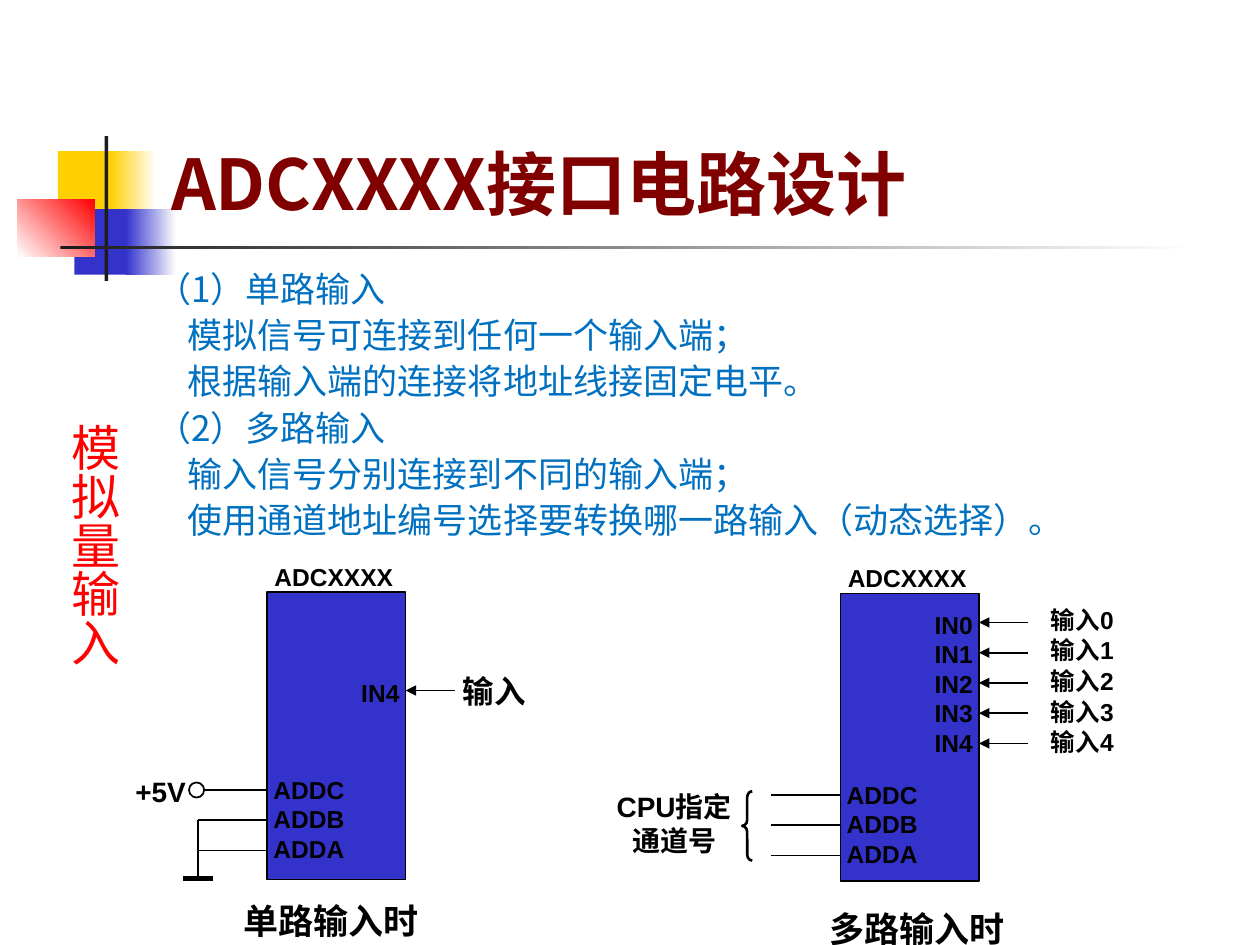
from lxml.etree import SubElement
from pptx import Presentation
from pptx.dml.color import RGBColor
from pptx.enum.shapes import MSO_CONNECTOR, MSO_SHAPE
from pptx.enum.text import MSO_ANCHOR, PP_ALIGN
from pptx.oxml.ns import qn
from pptx.util import Inches, Pt

CJK = "Noto Sans CJK SC"
BLACK, WHITE, BLUE, YELLOW, DARK = "000000", "FFFFFF", "3333CC", "FFCF01", "1C1C1C"
LEFT, CENTER, RIGHT = PP_ALIGN.LEFT, PP_ALIGN.CENTER, PP_ALIGN.RIGHT
PIN_STEP = 0.24
CHIP = "ADCXXXX"


def rgb(color):
    return RGBColor.from_string(color)


def add_text(shapes, lines, x, y, w, h, size=14, font="Arial", color=BLACK, bold=True,
             align=LEFT, inset=True, anchor=MSO_ANCHOR.TOP, spacing=None, gap=0,
             indents=None, vertical=False):
    """Add one paragraph per line; indents gives each paragraph's left margin in inches."""
    tf = shapes.add_textbox(Inches(x), Inches(y), Inches(w), Inches(h)).text_frame
    tf.word_wrap = True
    tf.vertical_anchor = anchor
    if not inset:
        tf.margin_left = tf.margin_right = tf.margin_top = tf.margin_bottom = 0
    if vertical:
        tf._txBody.bodyPr.set("vert", "eaVert")
    for i, line in enumerate(lines):
        p = tf.paragraphs[0] if i == 0 else tf.add_paragraph()
        p.alignment = align
        if spacing:
            p.line_spacing = spacing
        if gap and i:
            p.space_before = Pt(gap)
        if indents and indents[i]:
            p._p.get_or_add_pPr().set("marL", str(Inches(indents[i])))
        r = p.add_run()
        r.text = line
        r.font.size, r.font.name, r.font.bold = Pt(size), font, bold
        r.font.color.rgb = rgb(color)
        SubElement(r._r.get_or_add_rPr(), qn("a:ea"), typeface=CJK)


def add_label(shapes, lines, x, y, w, h, **fmt):
    add_text(shapes, lines, x, y, w, h, inset=False, **fmt)


def add_box(shapes, x, y, w, h, fill=None, line=None, width=1, kind=MSO_SHAPE.RECTANGLE,
            fade=None, angle=0):
    """Add a preset shape; fade is the second colour of a gradient."""
    sp = shapes.add_shape(kind, Inches(x), Inches(y), Inches(w), Inches(h))
    sp.shadow.inherit = False
    if fade:
        sp.fill.gradient()
        sp.fill.gradient_angle = angle
        for stop, color in zip(sp.fill.gradient_stops, (fill, fade)):
            stop.color.rgb = rgb(color)
    elif fill:
        sp.fill.solid()
        sp.fill.fore_color.rgb = rgb(fill)
    else:
        sp.fill.background()
    if line:
        sp.line.color.rgb = rgb(line)
        sp.line.width = Pt(width)
    else:
        sp.line.fill.background()
    return sp


def add_line(shapes, x1, y1, x2, y2, width=1, arrow=False):
    sp = shapes.add_connector(MSO_CONNECTOR.STRAIGHT, Inches(x1), Inches(y1),
                              Inches(x2), Inches(y2))
    sp.line.color.rgb = rgb(BLACK)
    sp.line.width = Pt(width)
    if arrow:
        SubElement(sp.line._get_or_add_ln(), qn("a:tailEnd"), type="triangle")
    SubElement(sp._element.spPr, qn("a:effectLst"))


def add_ornament(shapes, x, y):
    add_box(shapes, x + 0.32, y + 0.12, 0.48, 0.52, YELLOW)
    add_box(shapes, x + 0.74, y + 0.12, 0.36, 0.52, YELLOW, fade=WHITE)
    add_box(shapes, x + 0.45, y + 0.58, 0.46, 0.52, BLUE)
    add_box(shapes, x + 0.86, y + 0.58, 0.4, 0.52, BLUE, fade=WHITE)
    add_box(shapes, x, y + 0.5, 0.61, 0.46, WHITE, fade="FF0000", angle=45)
    add_box(shapes, x + 0.69, y, 0.03, 1.15, DARK)
    add_box(shapes, x + 0.34, y + 0.87, 9, 0.03, DARK, fade=WHITE)


def add_body(shapes, x, y, w, h):
    lines = ["（1）单路输入", "模拟信号可连接到任何一个输入端；", "根据输入端的连接将地址线接固定电平。",
             "（2）多路输入", "输入信号分别连接到不同的输入端；",
             "使用通道地址编号选择要转换哪一路输入（动态选择）。"]
    indents = [0 if line.startswith("（") else 0.25 for line in lines]
    add_text(shapes, lines, x, y, w, h, size=20, font=CJK, color="0070C0", bold=False,
             spacing=1.1, indents=indents)


def add_chip(shapes, x, y, address_y, inputs, input_y):
    """Draw the converter with its address lines and the arrows into its inputs."""
    w, h = 1.1, 2.28
    add_box(shapes, x, y, w, h, BLUE, BLACK)
    add_label(shapes, [CHIP], x, y - 0.24, 1.06, 0.23, align=CENTER)
    add_label(shapes, ["ADDC", "ADDB", "ADDA"], x + 0.05, address_y - 0.12, 0.58, 0.7)
    for i in range(3):
        pin_y = address_y + i * PIN_STEP
        add_line(shapes, x - 0.55, pin_y, x, pin_y)
    add_label(shapes, inputs, x + 0.7, input_y - 0.1, 0.35, 0.23 * len(inputs), align=RIGHT)
    for i in range(len(inputs)):
        pin_y = input_y + i * PIN_STEP
        add_line(shapes, x + w + 0.39, pin_y, x + w, pin_y, arrow=True)


def add_single_input(shapes, x, y):
    address_y = y + 1.57
    ground_x, ground_y = x - 0.55, y + 2.27
    add_chip(shapes, x, y, address_y, ["IN4"], y + 0.78)
    add_label(shapes, ["输入"], x + 1.49, y + 0.63, 0.63, 0.3, size=18, align=CENTER)
    add_line(shapes, ground_x, address_y + PIN_STEP, ground_x, ground_y)
    add_line(shapes, ground_x - 0.12, ground_y, ground_x + 0.12, ground_y, width=3)
    add_box(shapes, ground_x - 0.07, address_y - 0.06, 0.12, 0.12, WHITE, BLACK,
            kind=MSO_SHAPE.OVAL)
    add_label(shapes, ["+5V"], x - 1.06, y + 1.45, 0.43, 0.27, size=16, align=CENTER)
    add_label(shapes, ["单路输入时"], x - 0.24, y + 2.44, 1.49, 0.33, size=20, align=CENTER)


def add_multiple_inputs(shapes, x, y):
    add_chip(shapes, x, y, y + 1.6, [f"IN{i}" for i in range(5)], y + 0.23)
    add_label(shapes, [f"输入{i}" for i in range(5)], x + 1.55, y + 0.09, 0.74, 1.21,
              align=CENTER, gap=0.7)
    brace = add_box(shapes, x - 0.78, y + 1.57, 0.08, 0.55, line=BLACK, width=1.5,
                    kind=MSO_SHAPE.LEFT_BRACE)
    brace.adjustments[0] = 0.58
    add_label(shapes, ["CPU指定", "通道号"], x - 1.83, y + 1.56, 1.02, 0.53, size=16,
              align=CENTER)
    add_label(shapes, ["多路输入时"], x - 0.09, y + 2.49, 1.49, 0.33, size=20)


def main():
    prs = Presentation()
    prs.slide_width, prs.slide_height = Inches(10), Inches(7.5)
    s = prs.slides.add_slide(prs.slide_layouts[6])
    add_ornament(s.shapes, 0.14, 1.08)
    add_body(s.shapes, 1.14, 2.04, 8.19, 2.32)
    add_multiple_inputs(s.shapes.add_group_shape().shapes, 6.67, 4.71)
    add_single_input(s.shapes.add_group_shape().shapes, 2.12, 4.7)
    add_text(s.shapes, [CHIP + "接口电路设计"], 1.26, 0.23, 6.11, 1.6, size=40, font=CJK,
             color="800000", anchor=MSO_ANCHOR.BOTTOM)
    add_text(s.shapes, ["模拟量输入"], 0.36, 3.26, 0.67, 2.14, size=28, color="FF0000",
             bold=False, vertical=True)
    prs.save("out.pptx")


if __name__ == "__main__":
    main()
